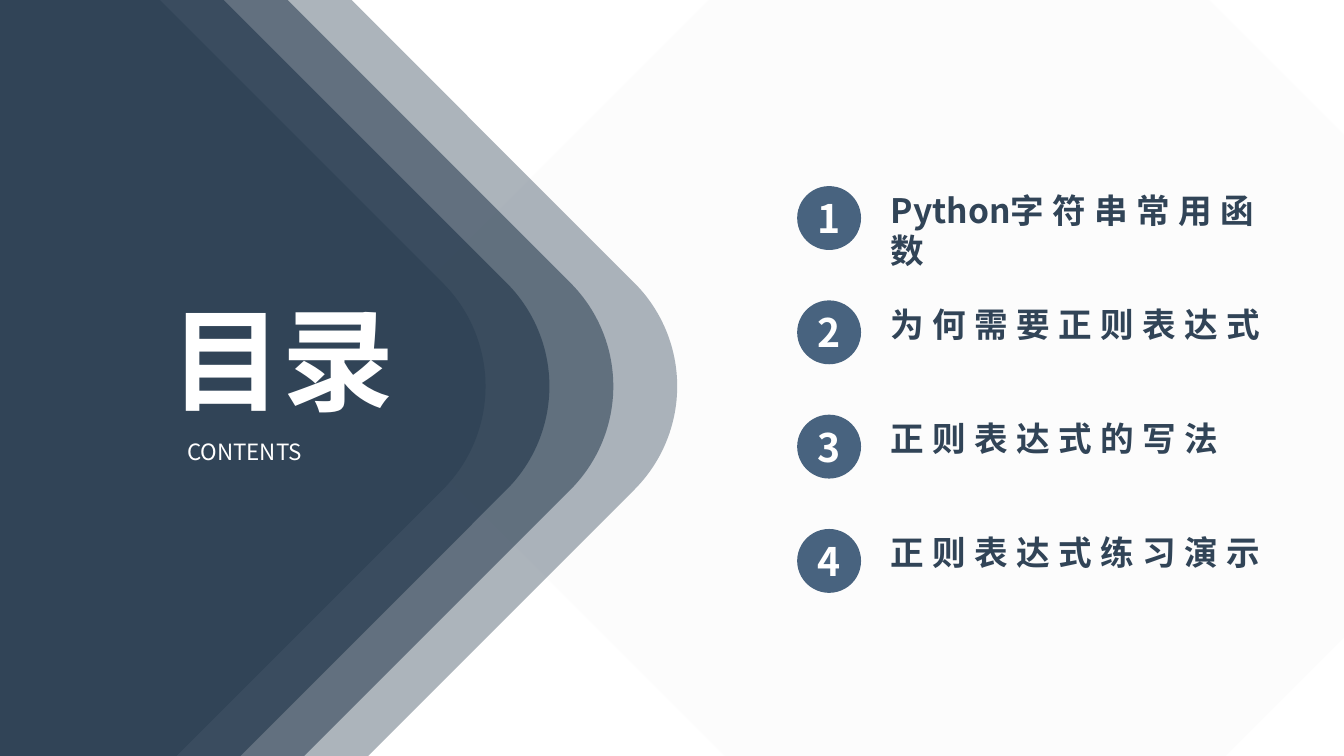
from pptx import Presentation
from pptx import util as u
from pptx.dml.color import RGBColor
from pptx.enum import shapes, text
from pptx.oxml.ns import qn
from lxml import etree

NAVY = RGBColor(0x31, 0x44, 0x57)
STEEL = RGBColor(0x48, 0x63, 0x7F)
PALE = RGBColor(0xF2, 0xF2, 0xF2)
WHITE = RGBColor(0xFF, 0xFF, 0xFF)
FONT = "Noto Sans CJK SC"

PANEL_OPACITIES = (40, 60, 80, 100)
TOPICS = (
    (("Python", 0), ("字符串常用函数", 6)),
    (("为何需要正则表达式", 6),),
    (("正则表达式的写法", 6),),
    (("正则表达式练习演示", 6),),
)


def add_span(para, words, size, color, bold=True, spacing=0):
    span = para.add_run()
    span.text = words
    span.font.size = u.Pt(size)
    span.font.bold = bold
    span.font.color.rgb = color
    span.font.name = FONT
    properties = span.font._element
    etree.SubElement(properties, qn("a:ea")).set("typeface", FONT)
    if spacing:
        properties.set("spc", str(spacing * 100))


def add_solid(parent, kind, left, top, width, height, color, opacity=100):
    shape = parent.shapes.add_shape(kind, left, top, width, height)
    shape.shadow.inherit = False
    shape.fill.solid()
    shape.fill.fore_color.rgb = color
    shape.line.fill.background()
    if opacity < 100:
        tint = shape._element.spPr.find(qn("a:solidFill")).find(qn("a:srgbClr"))
        etree.SubElement(tint, qn("a:alpha")).set("val", str(opacity * 1000))
    return shape


def add_label(parent, left, top, width, height, align):
    box = parent.shapes.add_textbox(left, top, width, height)
    box.text_frame.word_wrap = True
    box.text_frame.auto_size = text.MSO_AUTO_SIZE.SHAPE_TO_FIT_TEXT
    para = box.text_frame.paragraphs[0]
    para.alignment = align
    return para


def add_diamond(page, left, top, width, height, color, opacity):
    diamond = add_solid(page, shapes.MSO_SHAPE.ROUNDED_RECTANGLE,
                        left, top, width, height, color, opacity)
    diamond.rotation = 45


def add_backdrop(page, top, width, height):
    add_diamond(page, u.Cm(13.03), top, width, height, PALE, 20)
    for layer, opacity in enumerate(PANEL_OPACITIES):
        left = u.Cm(-8.58) - layer * u.Cm(1.61)
        add_diamond(page, left, top, width, height, NAVY, opacity)


def add_title(page, left, top, width, height):
    group = page.shapes.add_group_shape()
    heading = add_label(group, left, top, width, height, text.PP_ALIGN.CENTER)
    add_span(heading, "目录", 80, WHITE)
    caption = add_label(group, left + u.Cm(0.66), top + u.Cm(3.73),
                        u.Cm(5.28), u.Cm(0.94), text.PP_ALIGN.JUSTIFY)
    add_span(caption, "CONTENTS", 16, WHITE, bold=False)


def add_topic(page, left, top, width, height, number, parts):
    group = page.shapes.add_group_shape()
    badge = add_solid(group, shapes.MSO_SHAPE.OVAL, left, top, height, height, STEEL)
    frame = badge.text_frame
    frame.margin_left = frame.margin_right = 0
    frame.margin_top = frame.margin_bottom = 0
    frame.vertical_anchor = text.MSO_ANCHOR.MIDDLE
    para = frame.paragraphs[0]
    para.alignment = text.PP_ALIGN.CENTER
    add_span(para, str(number), 28, WHITE)

    indent = u.Cm(2.11)
    label = add_label(group, left + indent, top - u.Cm(0.04),
                      width - indent, u.Cm(1.28), text.PP_ALIGN.LEFT)
    for words, spacing in parts:
        add_span(label, words, 24, NAVY, spacing=spacing)


def add_topics(page, left, top, width, pitch):
    for index, parts in enumerate(TOPICS):
        add_topic(page, left, top + index * pitch, width, u.Cm(1.61), index + 1, parts)


def main():
    deck = Presentation()
    deck.slide_width = u.Cm(33.87)
    deck.slide_height = u.Cm(19.05)
    page = deck.slides.add_slide(deck.slide_layouts[6])
    add_backdrop(page, u.Cm(-1.52), u.Cm(22.68), u.Cm(22.1))
    add_title(page, u.Cm(3.81), u.Cm(7.19), u.Cm(6.6), u.Cm(3.68))
    add_topics(page, u.Cm(20.09), u.Cm(4.69), u.Cm(12.6), u.Cm(2.88))
    deck.save("out.pptx")


if __name__ == "__main__":
    main()
